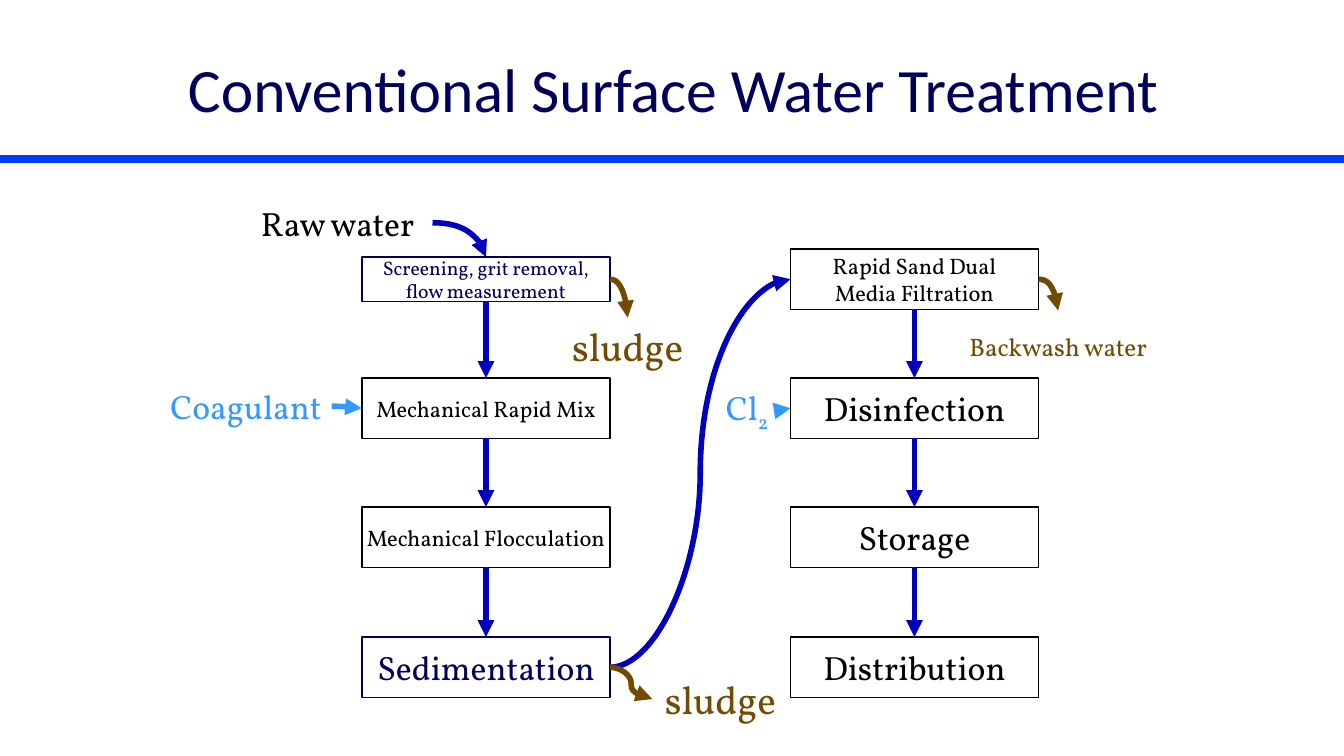
import pptx
import pptx.util
from pptx.dml.color import RGBColor
from pptx.enum.shapes import MSO_CONNECTOR, MSO_SHAPE
from pptx.enum.text import MSO_ANCHOR, MSO_AUTO_SIZE, PP_ALIGN
from pptx.oxml.ns import qn
from lxml import etree

PX = 9144
NAVY = RGBColor(0x00, 0x00, 0x5A)
BLACK = RGBColor(0x00, 0x00, 0x00)
BLUE = RGBColor(0x03, 0x00, 0xBE)
SKY = RGBColor(0x33, 0x99, 0xFF)
BROWN = RGBColor(0x72, 0x4A, 0x02)
RULE = RGBColor(0x00, 0x3C, 0xFE)
TOP, LEFT, BOTTOM, RIGHT = range(4)

deck = pptx.Presentation()
deck.slide_width = 1333 * PX
deck.slide_height = 750 * PX
slide = deck.slides.add_slide(deck.slide_layouts[6])


def write(text, at, size, color, font="Vollkorn", align=PP_ALIGN.CENTER,
          anchor=MSO_ANCHOR.MIDDLE, wrap=False, grow=True, edge=None, sub=None):
    area = [n * PX for n in at]
    if edge is None:
        shape = slide.shapes.add_textbox(*area)
    else:
        shape = slide.shapes.add_shape(MSO_SHAPE.RECTANGLE, *area)
        shape.shadow.inherit = False
        shape.fill.background()
        shape.line.color.rgb = edge
        shape.line.width = pptx.util.Pt(1)
    frame = shape.text_frame
    frame.text = text
    frame.word_wrap = wrap
    frame.vertical_anchor = anchor
    frame.auto_size = MSO_AUTO_SIZE.SHAPE_TO_FIT_TEXT if grow else MSO_AUTO_SIZE.NONE
    if sub:
        run = frame.paragraphs[0].add_run()
        run.text = sub
        run._r.get_or_add_rPr().set("baseline", "-25000")
    for para in frame.paragraphs:
        para.alignment = align
        for run in para.runs:
            run.font.name = font
            run.font.size = pptx.util.Pt(size)
            run.font.color.rgb = color
    return shape


def draw(kind, color, width, ends=None, start=(0, 0), stop=(0, 0), bend=False):
    line = slide.shapes.add_connector(kind, *[n * PX for n in start + stop])
    line.line.color.rgb = color
    line.line.width = pptx.util.Pt(width)
    if ends:
        first, out, last, into = ends
        line.begin_connect(first, out)
        line.end_connect(last, into)
        tail = etree.SubElement(line.line._get_or_add_ln(), qn("a:tailEnd"))
        tail.set("type", "triangle")
    props = line._element.spPr
    if bend:
        props.find(qn("a:prstGeom")).set("prst", "curvedConnector2")
    etree.SubElement(props, qn("a:effectLst"))


draw(MSO_CONNECTOR.STRAIGHT, RULE, 6, start=(0, 158), stop=(1333, 158))
write("Conventional Surface Water Treatment", (50, 25, 1236, 125), 44, NAVY,
      font="Calibri", wrap=True, grow=False)

steps = [
    (359, [("Screening, grit removal, flow measurement", 14, NAVY, 44),
           ("Mechanical Rapid Mix", 16, BLACK, 60),
           ("Mechanical Flocculation", 16, BLACK, 60),
           ("Sedimentation", 24, NAVY, 60)]),
    (784, [("Rapid Sand Dual\nMedia Filtration", 16, BLACK, 60),
           ("Disinfection", 24, BLACK, 60),
           ("Storage", 24, BLACK, 60),
           ("Distribution", 24, BLACK, 60)]),
]
stacks = []
for left, items in steps:
    stack = []
    for row, (text, size, color, high) in enumerate(items):
        top = 277 + 385 * row // 3 - high // 2
        stack.append(write(text, (left, top, 246, high), size, color,
                           wrap=high < 60, grow=False, edge=color))
    for upper, lower in zip(stack, stack[1:]):
        draw(MSO_CONNECTOR.STRAIGHT, BLUE, 4, (upper, BOTTOM, lower, TOP))
    stacks.append(stack)
screen, mix, floc, settle = stacks[0]
filter_, kill, store, send = stacks[1]

raw = write("Raw water", (249, 196, 180, 50), 24, BLACK,
            align=PP_ALIGN.LEFT, anchor=MSO_ANCHOR.TOP)
dose = write("Coagulant", (153, 378, 176, 50), 24, SKY, align=PP_ALIGN.RIGHT)
chlor = write("Cl", (707, 382, 65, 50), 24, SKY, align=PP_ALIGN.RIGHT, sub="2")
grit = write("sludge", (555, 315, 135, 57), 28, BROWN)
mud = write("sludge", (647, 665, 135, 57), 28, BROWN)
wash = write("Backwash water", (949, 308, 201, 71), 18, BROWN, wrap=True)

for first, out, last, into, color in [
    (raw, RIGHT, screen, TOP, BLUE),
    (settle, RIGHT, filter_, LEFT, BLUE),
    (dose, RIGHT, mix, LEFT, SKY),
    (chlor, RIGHT, kill, LEFT, SKY),
    (settle, RIGHT, mud, LEFT, BROWN),
    (filter_, RIGHT, wash, TOP, BROWN),
    (screen, RIGHT, grit, TOP, BROWN),
]:
    draw(MSO_CONNECTOR.CURVE, color, 4, (first, out, last, into), bend=into == TOP)

deck.save("out.pptx")
